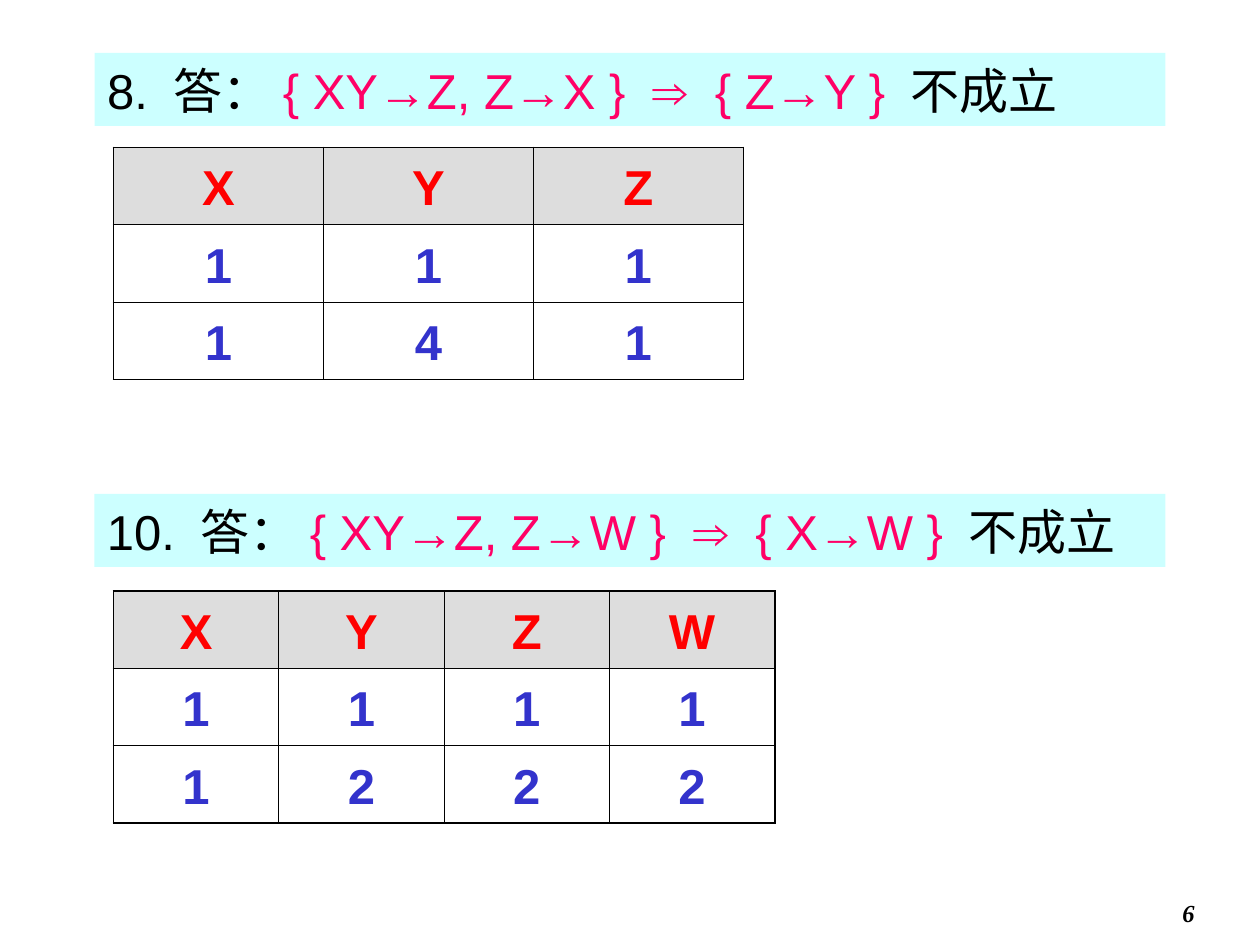
from dataclasses import dataclass
from lxml import etree
from pptx import Presentation, util as u
from pptx.dml.color import RGBColor
from pptx.enum import shapes, text
from pptx.oxml.ns import qn


@dataclass(frozen=True)
class Theme:
    ink: str = "000000"
    rule: str = "FF0066"
    head: str = "FF0000"
    value: str = "3333CC"
    band: str = "CCFFFF"
    gray: str = "DDDDDD"
    sans: str = "Arial"
    serif: str = "Times New Roman"
    big: int = 28
    small: int = 14
    thick: float = 1.08
    thin: float = 0.45


T = Theme()
WIDE, HIGH = 10, 7.5
ROW = 0.51


def place(shape, left, top, width, height):
    shape.left, shape.top = u.Inches(left), u.Inches(top)
    shape.width, shape.height = u.Inches(width), u.Inches(height)


def paint(item, color):
    item.fill.solid()
    item.fill.fore_color.rgb = RGBColor.from_string(color)


def write(frame, *runs, size=T.big, font=T.sans, bold=False, italic=False,
          align=text.PP_ALIGN.LEFT, lead=None):
    para = frame.paragraphs[0]
    para.alignment = align
    if lead:
        para.line_spacing = lead
    for words, color in runs:
        run = para.add_run()
        run.text = words
        face = run.font
        face.name, face.size = font, u.Pt(size)
        face.bold, face.italic = bold, italic
        face.color.rgb = RGBColor.from_string(color)


def answer(shape, top, label, rule):
    place(shape, WIDE * 0.075, top, WIDE * 0.85, 0.58)
    paint(shape, T.band)
    frame = shape.text_frame
    frame.word_wrap = True
    frame.auto_size = text.MSO_AUTO_SIZE.NONE
    frame.vertical_anchor = text.MSO_ANCHOR.MIDDLE
    write(frame, (f"{label} 答：", T.ink), (f"{rule} ", T.rule), ("不成立", T.ink))


def edge(cell, side, width):
    line = etree.SubElement(cell._tc.get_or_add_tcPr(), qn(f"a:ln{side}"),
                            w=str(u.Pt(width)))
    fill = etree.SubElement(line, qn("a:solidFill"))
    etree.SubElement(fill, qn("a:srgbClr"), val=T.ink)


def grid(slide, top, width, rows):
    tall, wide = len(rows), len(rows[0])
    table = slide.shapes.add_table(
        tall, wide, u.Inches(WIDE * 0.09), u.Inches(top),
        u.Inches(width), u.Inches(ROW * tall)).table
    table.first_row = table.horz_banding = False
    for i, row in enumerate(rows):
        for j, word in enumerate(row):
            cell = table.cell(i, j)
            cell.vertical_anchor = text.MSO_ANCHOR.MIDDLE
            outer = {"L": j == 0, "R": j == wide - 1,
                     "T": i == 0, "B": i == tall - 1}
            for side, rim in outer.items():
                edge(cell, side, T.thick if rim else T.thin)
            if i == 0:
                paint(cell, T.gray)
            else:
                cell.fill.background()
            write(cell.text_frame, (word, T.value if i else T.head),
                  bold=True, align=text.PP_ALIGN.CENTER, lead=1.1)


def number(slide, word):
    box = slide.shapes.add_textbox(0, 0, 0, 0)
    place(box, WIDE * 0.75, HIGH * 0.944, 2.08, 0.33)
    box.text_frame.word_wrap = True
    write(box.text_frame, (word, T.ink), size=T.small, font=T.serif,
          bold=True, italic=True, align=text.PP_ALIGN.RIGHT)


def main():
    deck = Presentation()
    deck.slide_width, deck.slide_height = u.Inches(WIDE), u.Inches(HIGH)
    slide = deck.slides.add_slide(deck.slide_layouts[5])
    number(slide, "6")

    answer(slide.shapes.title, 0.42, "8.", "{ XY→Z, Z→X }  ⇒  { Z→Y }")
    grid(slide, 1.17, 5, ["XYZ", "111", "141"])

    bar = slide.shapes.add_shape(shapes.MSO_SHAPE.RECTANGLE, 0, 0, 0, 0)
    bar.shadow.inherit = False
    bar.line.fill.background()
    answer(bar, 3.92, "10.", "{ XY→Z, Z→W }  ⇒  { X→W }")
    grid(slide, 4.69, 5.25, ["XYZW", "1111", "1222"])

    deck.save("out.pptx")


if __name__ == "__main__":
    main()
